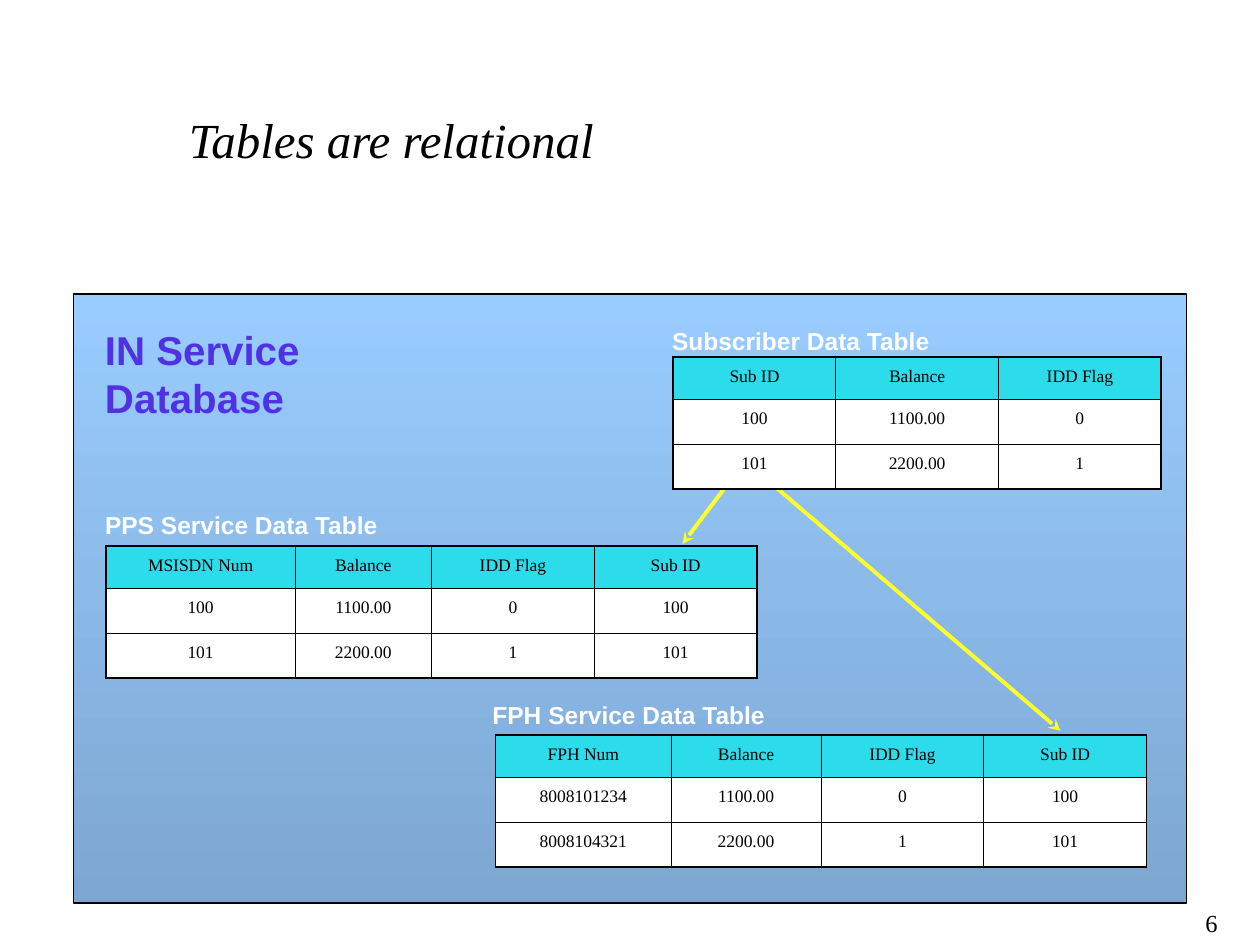
from lxml.etree import SubElement
from pptx import Presentation
from pptx.dml.color import RGBColor
from pptx.enum.shapes import MSO_CONNECTOR as Connector, MSO_SHAPE as Shape
from pptx.enum.text import PP_ALIGN as Align
from pptx.oxml.ns import qn
from pptx.util import Inches, Pt

# The slide is a grid of 120 columns and 90 rows, with square cells
SLIDE_WIDTH, SLIDE_HEIGHT = Inches(10), Inches(7.5)
UNIT = SLIDE_WIDTH / 120

BLACK, WHITE = "000000", "FFFFFF"
HEADER_FILL, ARROW_COLOUR = "2CDCEA", "FFFF2B"
PANEL_GRADIENT = ("99CCFF", "7DA7D1")
ROW_HEIGHTS = (4, 4.3, 4.3)
INNER_BORDER, OUTER_BORDER = 0.45, 1.08

TITLE = {"name": "Times New Roman", "size": Pt(28), "italic": True, "color": BLACK}
HEADING = {"name": "Arial", "size": Pt(23), "bold": True, "color": "5032E4"}
CAPTION = {"name": "Arial", "size": Pt(14), "bold": True, "color": WHITE}
PAGE_NUMBER = {"name": "Times New Roman", "size": Pt(14), "color": BLACK}
CELL = {"name": "Times New Roman", "size": Pt(10), "color": BLACK}

# Caption and its place, table place, column widths, rows
TABLES = [
    ("Subscriber Data Table", (64, 31), (64.1, 34), (15.5, 15.5, 15.5),
     [("Sub ID", "Balance", "IDD Flag"),
      ("100", "1100.00", "0"),
      ("101", "2200.00", "1")]),
    ("PPS Service Data Table", (10, 48.6), (10.1, 52), (18, 13, 15.5, 15.5),
     [("MSISDN Num", "Balance", "IDD Flag", "Sub ID"),
      ("100", "1100.00", "0", "100"),
      ("101", "2200.00", "1", "101")]),
    ("FPH Service Data Table", (46.9, 66.7), (47.2, 70), (16.7, 14.3, 15.5, 15.5),
     [("FPH Num", "Balance", "IDD Flag", "Sub ID"),
      ("8008101234", "1100.00", "0", "100"),
      ("8008104321", "2200.00", "1", "101")]),
]

# Start and end of each arrow
ARROWS = [((69, 46.5), (65, 51.8)), ((74, 46.5), (101, 69.6))]


def grid(*lengths):
    return [round(length * UNIT) for length in lengths]


def colour(value):
    return RGBColor.from_string(value)


def format_font(font, values):
    for key, value in values.items():
        if key == "color":
            font.color.rgb = colour(value)
        else:
            setattr(font, key, value)


def add_text(slide, text, box, values, margins=(0, 0), wrap=False):
    frame = slide.shapes.add_textbox(*grid(*box)).text_frame
    frame.word_wrap = wrap
    frame.margin_left = frame.margin_right = Inches(margins[0])
    frame.margin_top = frame.margin_bottom = Inches(margins[1])
    paragraph = frame.paragraphs[0]
    paragraph.text = text
    format_font(paragraph.font, values)


def add_panel(slide, box):
    panel = slide.shapes.add_shape(Shape.RECTANGLE, *grid(*box))
    panel.shadow.inherit = False
    panel.fill.gradient()
    panel.fill.gradient_angle = 270
    for stop, value in zip(panel.fill.gradient_stops, PANEL_GRADIENT):
        stop.color.rgb = colour(value)
    panel.line.color.rgb = colour(BLACK)
    panel.line.width = Pt(0.75)


def add_arrow(slide, start, end):
    arrow = slide.shapes.add_connector(Connector.STRAIGHT, *grid(*start, *end))
    arrow.line.color.rgb = colour(ARROW_COLOUR)
    arrow.line.width = Pt(2.25)
    properties = arrow.element.spPr
    SubElement(properties.find(qn("a:ln")), qn("a:tailEnd"), type="stealth")
    SubElement(properties, qn("a:effectLst"))


def add_border(cell, side, width):
    properties = cell._tc.get_or_add_tcPr()
    line = SubElement(properties, qn(f"a:ln{side}"), w=str(Pt(width)))
    fill = SubElement(line, qn("a:solidFill"))
    SubElement(fill, qn("a:srgbClr"), val=BLACK)


def fill_cell(cell, text, fill, outer_sides):
    for side in "LRTB":
        add_border(cell, side, OUTER_BORDER if side in outer_sides else INNER_BORDER)
    cell.fill.solid()
    cell.fill.fore_color.rgb = colour(fill)
    paragraph = cell.text_frame.paragraphs[0]
    paragraph.text = text
    paragraph.alignment = Align.CENTER
    paragraph.line_spacing = 1.2
    format_font(paragraph.font, CELL)


def add_data_table(slide, place, widths, rows):
    box = grid(*place, sum(widths), sum(ROW_HEIGHTS))
    table = slide.shapes.add_table(len(rows), len(widths), *box).table
    table.first_row = table.horz_banding = False
    for column, width in zip(table.columns, grid(*widths)):
        column.width = width
    for row, height in zip(table.rows, grid(*ROW_HEIGHTS)):
        row.height = height
    last_row, last_column = len(rows) - 1, len(widths) - 1
    for r, texts in enumerate(rows):
        for c, text in enumerate(texts):
            edges = {"L": c == 0, "R": c == last_column, "T": r == 0, "B": r == last_row}
            outer_sides = [side for side, is_outer in edges.items() if is_outer]
            fill_cell(table.cell(r, c), text, WHITE if r else HEADER_FILL, outer_sides)


def main():
    presentation = Presentation()
    presentation.slide_width, presentation.slide_height = SLIDE_WIDTH, SLIDE_HEIGHT
    slide = presentation.slides.add_slide(presentation.slide_layouts[6])

    # Page number and title
    add_text(slide, "6", (114.8, 86.5, 4, 2.8), PAGE_NUMBER, wrap=True)
    add_text(slide, "Tables are relational", (16.8, 9.8, 44.2, 6.8), TITLE,
             margins=(0.1, 0.05), wrap=True)

    # Database panel
    add_panel(slide, (7, 28, 106, 58))
    add_text(slide, "IN Service Database", (10, 31, 36.7, 4.6), HEADING)

    # Relations between the tables
    for start, end in ARROWS:
        add_arrow(slide, start, end)

    # Captioned tables
    for caption, caption_place, place, widths, rows in TABLES:
        add_text(slide, caption, (*caption_place, 26, 2.8), CAPTION)
        add_data_table(slide, place, widths, rows)

    presentation.save("out.pptx")


if __name__ == "__main__":
    main()
